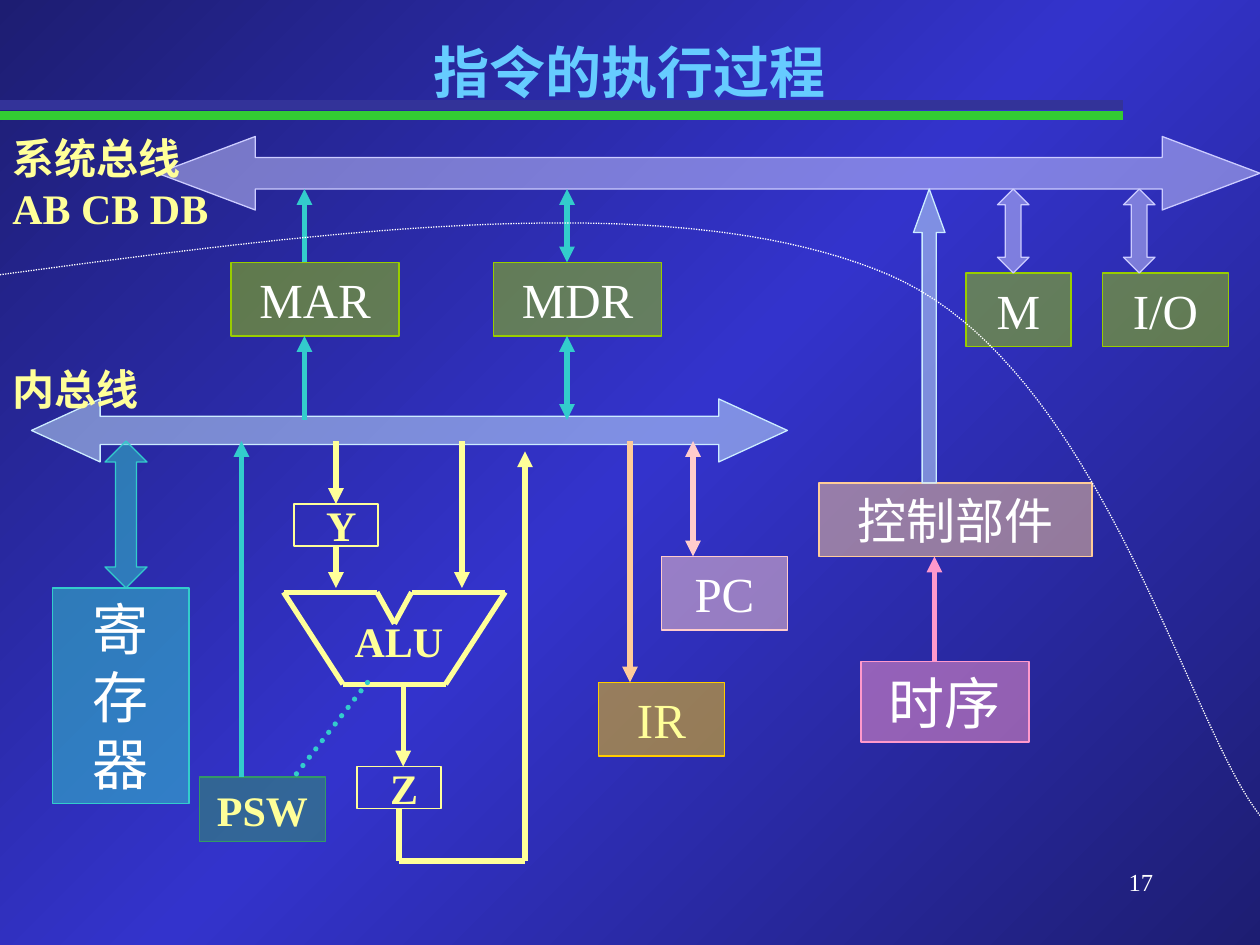
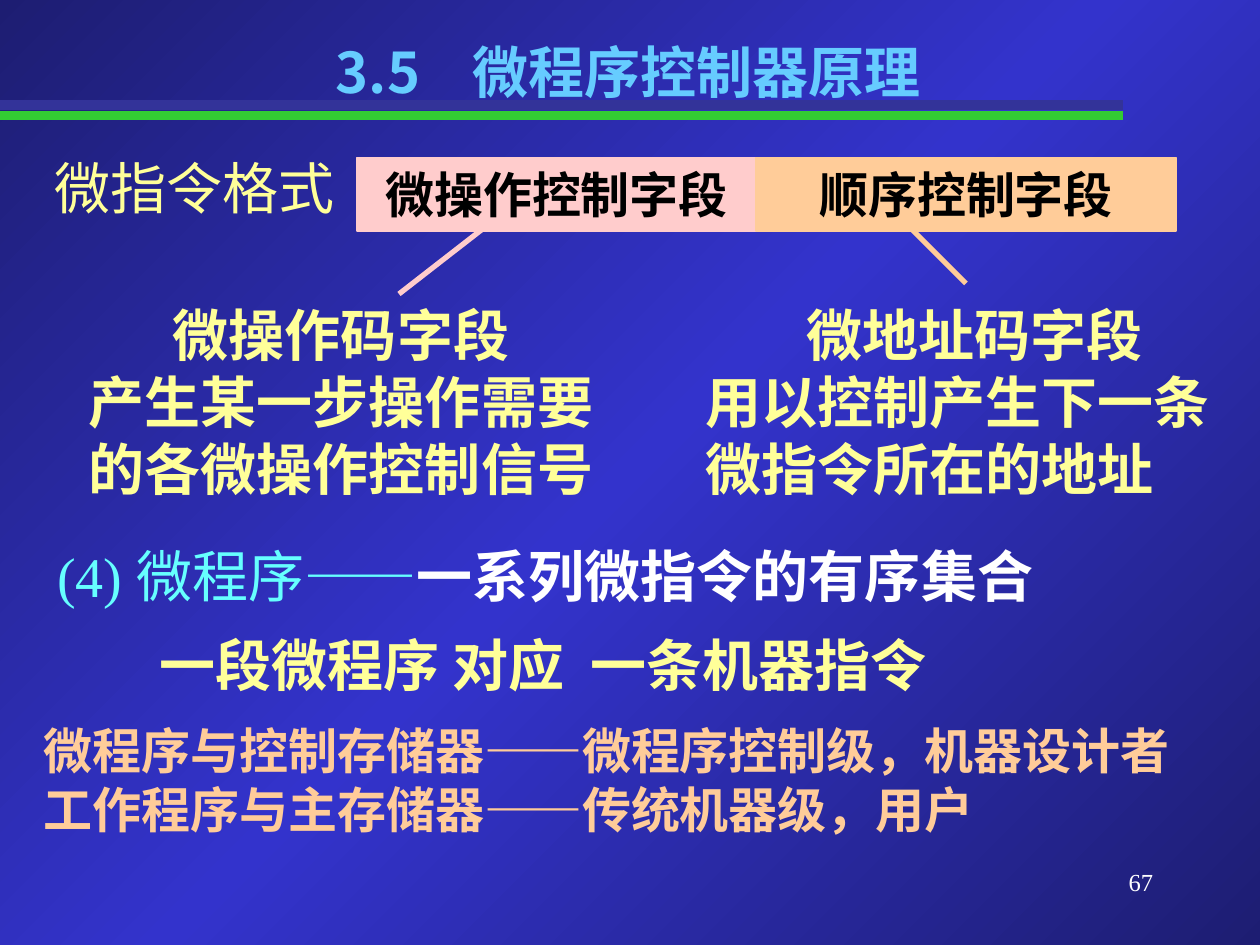
from copy import deepcopy
from dataclasses import dataclass
from itertools import pairwise
from typing import NamedTuple, Optional

from lxml import etree
from pptx import Presentation
from pptx import util as u
from pptx.dml.color import RGBColor
from pptx.enum import dml, shapes, text
from pptx.oxml.ns import qn

NAVY = RGBColor(0x1D, 0x1D, 0x72)
BLUE = RGBColor(0x33, 0x33, 0xCC)
INDIGO = RGBColor(0x33, 0x33, 0x99)
GREEN = RGBColor(0x33, 0xCC, 0x33)
SKY = RGBColor(0x66, 0xCC, 0xFF)
AQUA = RGBColor(0x66, 0xFF, 0xFF)
TEAL = RGBColor(0x33, 0xCC, 0xCC)
SEA = RGBColor(0x33, 0x99, 0x66)
LIME = RGBColor(0x99, 0xCC, 0x00)
LAVENDER = RGBColor(0xCC, 0xCC, 0xFF)
ICE = RGBColor(0xCC, 0xEC, 0xFF)
PEACH = RGBColor(0xFF, 0xCC, 0x99)
ROSE = RGBColor(0xFF, 0xCC, 0xCC)
PINK = RGBColor(0xFF, 0x99, 0xCC)
GOLD = RGBColor(0xFF, 0xCC, 0x00)
YELLOW = RGBColor(0xFF, 0xFF, 0x99)
WHITE = RGBColor(0xFF, 0xFF, 0xFF)
BLACK = RGBColor(0x00, 0x00, 0x00)

SERIF = "Times New Roman"
SANS = "Noto Sans CJK SC"
KIND = shapes.MSO_SHAPE
LEFT, CENTER, RIGHT = text.PP_ALIGN.LEFT, text.PP_ALIGN.CENTER, text.PP_ALIGN.RIGHT
MIDDLE, TOP = text.MSO_ANCHOR.MIDDLE, text.MSO_ANCHOR.TOP
HALF = 50000
Point = tuple[float, float]


@dataclass
class Label:
    """Words with their type style."""
    words: str
    size: float
    color: RGBColor = YELLOW
    bold: bool = True
    font: str = SERIF
    align: text.PP_ALIGN = CENTER
    anchor: text.MSO_ANCHOR = MIDDLE
    wrap: bool = True
    indent: float = 0
    tab: float = 0


@dataclass
class Block:
    """A preset shape, filled or outlined in one colour."""
    left: float
    top: float
    width: float
    height: float
    color: RGBColor
    label: Optional[Label] = None
    kind: shapes.MSO_SHAPE = KIND.RECTANGLE
    adjust: tuple[float, ...] = ()
    alpha: int = HALF
    filled: bool = True


class Wire(NamedTuple):
    """A straight line with optional arrowheads."""
    start: Point
    end: Point
    color: RGBColor
    head: bool = False
    tail: bool = False
    dotted: bool = False
    width: float = 3


def style_run(run, color: RGBColor, size: float, bold: bool, font: str) -> None:
    """Give a run its type style in Latin and East Asian script."""
    run.font.name, run.font.size, run.font.bold = font, u.Pt(size), bold
    run.font.color.rgb = color
    latin = run._r.rPr.find(qn("a:latin"))
    east = etree.Element(qn("a:ea"), typeface=SANS)
    latin.addnext(east)


def write(frame, label: Label):
    """Fill a text frame with a label and return its paragraph."""
    frame.text = label.words
    frame.word_wrap = label.wrap
    frame.vertical_anchor = label.anchor
    paragraph = frame.paragraphs[0]
    paragraph.alignment = label.align
    properties = paragraph._p.get_or_add_pPr()
    if label.indent:
        properties.set("indent", str(u.Pt(label.indent)))
    if label.tab:
        stops = etree.SubElement(properties, qn("a:tabLst"))
        etree.SubElement(stops, qn("a:tab"), pos=str(u.Pt(label.tab)), algn="l")
    for run in paragraph.runs:
        style_run(run, label.color, label.size, label.bold, label.font)
    return paragraph


def draw_text(slide, left: float, top: float, width: float, height: float, label: Label):
    """Draw a text box and return its paragraph."""
    box = slide.shapes.add_textbox(*map(u.Pt, (left, top, width, height)))
    return write(box.text_frame, label)


def draw_block(slide, block: Block) -> None:
    """Draw a block with its label."""
    place = map(u.Pt, (block.left, block.top, block.width, block.height))
    shape = slide.shapes.add_shape(block.kind, *place)
    shape.shadow.inherit = False
    for index, value in enumerate(block.adjust):
        shape.adjustments[index] = value
    if block.filled:
        shape.fill.solid()
        shape.fill.fore_color.rgb = block.color
        tint = shape._element.spPr.find(qn("a:solidFill"))[0]
        etree.SubElement(tint, qn("a:alpha"), val=str(block.alpha))
    else:
        shape.fill.background()
    shape.line.color.rgb = block.color
    shape.line.width = u.Pt(0.75)
    if block.label:
        write(shape.text_frame, block.label)


def draw_wire(slide, wire: Wire) -> None:
    """Draw a wire."""
    line = slide.shapes.add_connector(
        shapes.MSO_CONNECTOR.STRAIGHT, *map(u.Pt, (*wire.start, *wire.end)))
    line.line.color.rgb = wire.color
    line.line.width = u.Pt(wire.width)
    outline = line.line._get_or_add_ln()
    if wire.dotted:
        line.line.dash_style = dml.MSO_LINE.ROUND_DOT
        outline.set("cap", "rnd")
    for end, shown in (("a:headEnd", wire.head), ("a:tailEnd", wire.tail)):
        if shown:
            etree.SubElement(outline, qn(end), type="triangle")
    etree.SubElement(line._element.spPr, qn("a:effectLst"))


def bezier(a: Point, b: Point, c: Point, d: Point, steps: int = 40) -> list[Point]:
    """Sample a cubic curve, leaving out its first point."""
    points = []
    for step in range(1, steps + 1):
        t = step / steps
        weights = ((1 - t) ** 3, 3 * t * (1 - t) ** 2, 3 * t * t * (1 - t), t ** 3)
        points.append(tuple(sum(w * p[axis] for w, p in zip(weights, (a, b, c, d)))
                            for axis in (0, 1)))
    return points


def draw_boundary(slide) -> None:
    """Draw the dotted curve around the processor."""
    start, crest = (0, 157), (507.9, 157)
    points = (bezier(start, (194, 131), (388, 106), crest)
              + bezier(crest, (628, 208.5), (678, 413), (720, 466)))
    builder = slide.shapes.build_freeform(u.Pt(start[0]), u.Pt(start[1]))
    builder.add_line_segments([(u.Pt(x), u.Pt(y)) for x, y in points], close=False)
    boundary = builder.convert_to_shape()
    boundary.shadow.inherit = False
    boundary.fill.background()
    boundary.line.color.rgb = WHITE
    boundary.line.width = u.Pt(0.75)
    boundary.line.dash_style = dml.MSO_LINE.ROUND_DOT


def set_background(master) -> None:
    """Give the master its diagonal gradient."""
    fill = master.background.fill
    fill.gradient()
    fill.gradient_angle = 315
    first = master.element.find(".//" + qn("p:bg")).find(".//" + qn("a:gs"))
    first.addnext(deepcopy(first))
    for stop, place, color in zip(fill.gradient_stops, (0, 0.5, 1), (NAVY, BLUE, NAVY)):
        stop.position = place
        stop.color.rgb = color


def start_slide(deck, title: str, number: str, left: float = 0,
                align: text.PP_ALIGN = CENTER, tab: float = 0):
    """Add a slide with its bands, title and number."""
    slide = deck.slides.add_slide(deck.slide_layouts[6])
    for y, color in ((66, GREEN), (60, INDIGO)):
        draw_wire(slide, Wire((0, y), (642, y), color, width=5.5))
    draw_text(slide, 516, 492, 150, 36,
              Label(number, 14, WHITE, False, align=RIGHT, anchor=TOP))
    draw_text(slide, left, 18, 720 - left, 45.5,
              Label(title, 32, SKY, font=SANS, align=align, tab=tab))
    return slide


def part(words: str, size: float = 28, color: RGBColor = WHITE) -> Label:
    """Label a hardware part in plain type."""
    return Label(words, size, color, False)


def build_execution(deck) -> None:
    """Build the diagram of how an instruction runs."""
    slide = start_slide(deck, "指令的执行过程", "17")
    both, up = KIND.UP_DOWN_ARROW, KIND.UP_ARROW
    wide = KIND.LEFT_RIGHT_ARROW
    draw_block(slide, Block(90, 78, 630, 42, LAVENDER, kind=wide, adjust=(0.43, 1.33)))
    draw_text(slide, 0, 72, 186, 65, Label("系统总线\vAB CB DB", 24, align=LEFT))
    draw_block(slide, Block(18, 228, 432, 36, ICE, kind=wide, adjust=(0.45, 1.09)))
    draw_text(slide, 0, 204, 108, 36, Label("内总线", 24, align=LEFT))
    blocks = [
        Block(552, 156, 60, 42, LIME, part("M")),
        Block(630, 156, 72, 42, LIME, part("I/O")),
        *(Block(x, 108, 18, 48, LAVENDER, kind=both, adjust=(0.53, 0.5))
          for x in (570, 642)),
        Block(468, 276, 156, 42, PEACH, part("控制部件")),
        Block(522, 108, 18, 168, ICE, kind=up, adjust=(0.45, 1.38)),
        Block(492, 378, 96, 46, PINK, part("时序", 32)),
        Block(30, 336, 78, 123, TEAL, part("寄存器", 32)),
        Block(60, 252, 24, 84, TEAL, kind=both, adjust=(0.7, 0.5)),
        Block(132, 150, 96, 42, LIME, part("MAR")),
        Block(282, 150, 96, 42, LIME, part("MDR")),
        Block(168, 288, 48, 24, YELLOW, filled=False),
        Block(204, 438, 48, 24, YELLOW, filled=False),
        Block(114, 444, 72, 37, SEA, Label("PSW", 24)),
        Block(378, 318, 72, 42, ROSE, part("PC")),
        Block(342, 390, 72, 42, GOLD, part("IR", color=YELLOW)),
    ]
    for block in blocks:
        draw_block(slide, block)

    alu = [(162, 338.4), (215.4, 338.4), (225.4, 356.4), (235.2, 338.4),
           (288.7, 338.4), (254.6, 391), (196, 391), (162, 338.4)]
    wires = [Wire(a, b, YELLOW) for a, b in pairwise(alu)]
    for x, two_way in ((174, False), (324, True)):
        for low, high in ((240, 192), (150, 108)):
            wires.append(Wire((x, low), (x, high), TEAL, two_way, True))
    wires += [
        Wire((534, 378), (534, 318), PINK, tail=True),
        Wire((230.4, 391), (230.4, 438), YELLOW, tail=True),
        Wire((192, 252), (192, 288), YELLOW, tail=True),
        Wire((192, 312), (192, 336), YELLOW, tail=True),
        Wire((264, 252), (264, 336), YELLOW, tail=True),
        Wire((228, 462), (228, 492), YELLOW),
        Wire((228, 492), (300, 492), YELLOW),
        Wire((300, 492), (300, 258), YELLOW, tail=True),
        Wire((210, 390), (168, 444), TEAL, dotted=True),
        Wire((138, 444), (138, 252), TEAL, tail=True),
        Wire((396, 252), (396, 318), ROSE, True, True),
        Wire((360, 252), (360, 390), PEACH, tail=True),
    ]
    for wire in wires:
        draw_wire(slide, wire)
    draw_boundary(slide)
    for words, left, top, width in (("ALU", 192, 348, 72), ("Y", 174, 282, 42),
                                    ("Z", 210, 432, 42)):
        draw_text(slide, left, top, width, 36, Label(words, 24))


def build_microprogram(deck) -> None:
    """Build the slide on microinstruction format and microprograms."""
    slide = start_slide(deck, "3.5\t微程序控制器原理", "67", 184.8, LEFT, 78.2)
    draw_text(slide, 21, 84, 180, 45.5,
              Label("微指令格式", 32, bold=False, font=SANS, wrap=False))
    for words, left, width, color in (("微操作控制字段", 204, 228, ROSE),
                                      ("顺序控制字段", 432, 240, PEACH)):
        draw_block(slide, Block(left, 90, width, 42, color,
                                Label(words, 28, BLACK), alpha=100000))
    draw_wire(slide, Wire((282, 126), (228, 168), ROSE))
    draw_wire(slide, Wire((516, 126), (552, 162), PEACH))
    draw_text(slide, 30, 168, 330, 122.5,
              Label("微操作码字段\v产生某一步操作需要的各微操作控制信号", 32))
    draw_text(slide, 396, 168, 324, 122.5,
              Label("微地址码字段\v用以控制产生下一条微指令所在的地址", 32,
                    align=LEFT, indent=57.6))
    definition = draw_text(slide, 18, 306, 666, 45.5,
                           Label("(4) 微程序——", 32, AQUA, False, align=LEFT, indent=7.5))
    meaning = definition.add_run()
    meaning.text = "一系列微指令的有序集合"
    style_run(meaning, WHITE, 32, True, SERIF)
    draw_text(slide, 84, 356.5, 458, 45.5,
              Label("一段微程序 对应\t一条机器指令", 32, align=LEFT, wrap=False, tab=246.3))
    draw_text(slide, 18, 408, 672, 74.5,
              Label("微程序与控制存储器——微程序控制级，机器设计者\v"
                    "工作程序与主存储器——传统机器级，用户", 28, PEACH, align=LEFT))


def main() -> None:
    """Build and save the deck."""
    deck = Presentation()
    deck.slide_width, deck.slide_height = u.Pt(720), u.Pt(540)
    set_background(deck.slide_master)
    build_execution(deck)
    build_microprogram(deck)
    deck.save("out.pptx")


if __name__ == "__main__":
    main()
